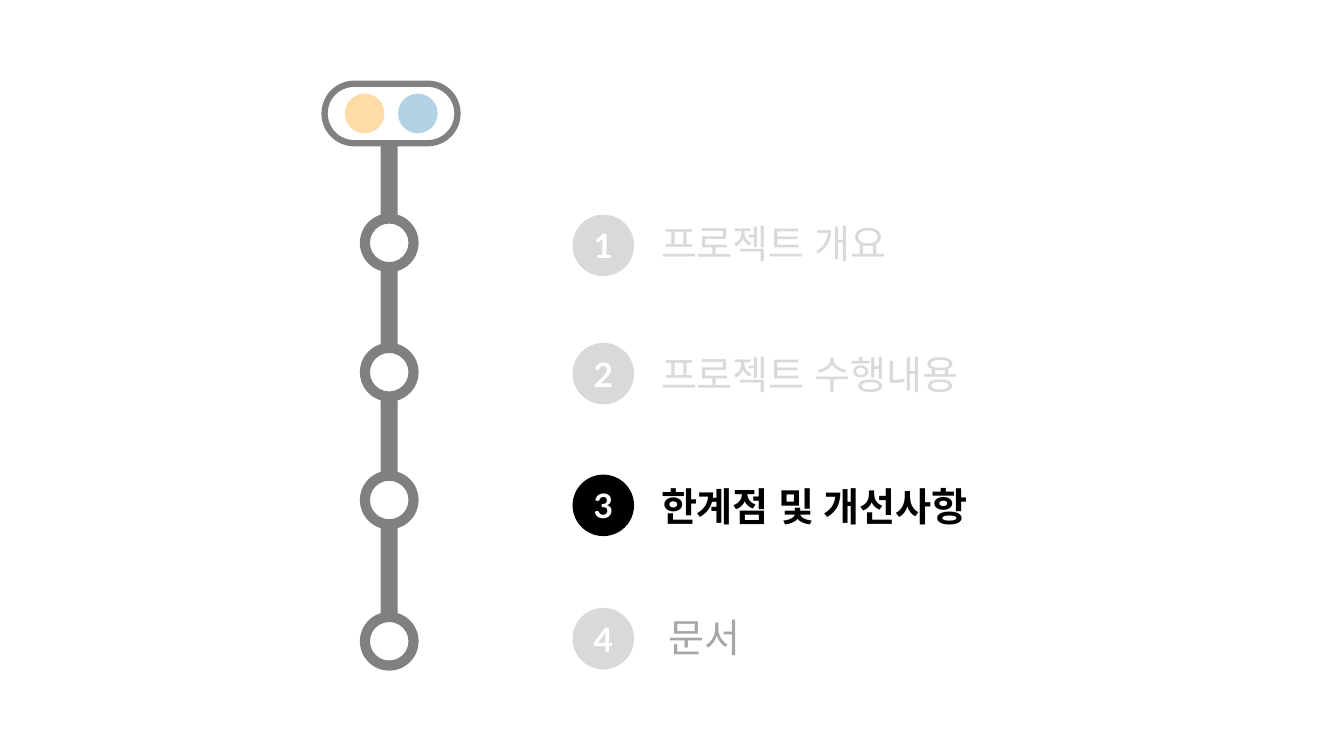
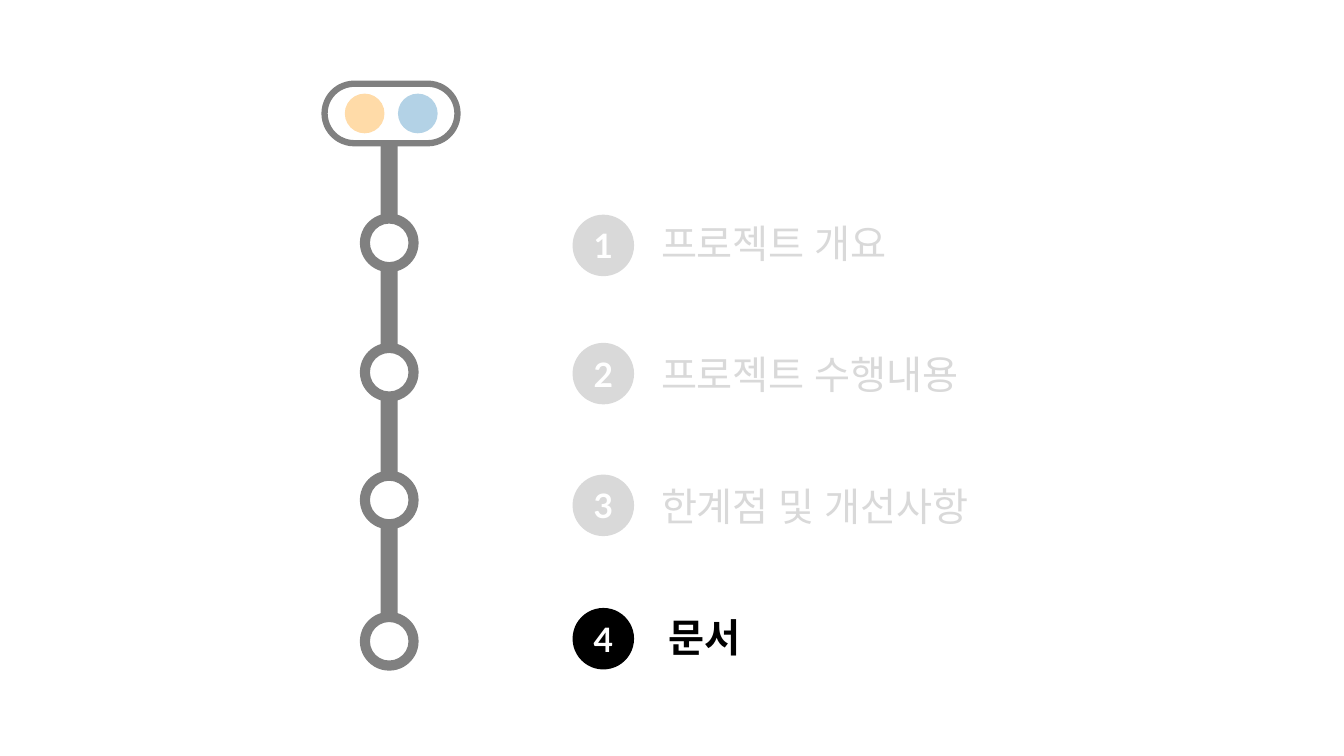
from dataclasses import dataclass

from lxml.etree import SubElement
from pptx import Presentation
from pptx.dml.color import RGBColor
from pptx.enum.shapes import MSO_SHAPE as Preset
from pptx.enum.text import MSO_ANCHOR as Anchor, MSO_AUTO_SIZE as AutoSize, PP_ALIGN as Align
from pptx.oxml.ns import qn
from pptx.util import Cm, Pt

CHAPTERS = [
    dict(title="프로젝트 개요", station=5.38, badge=5.41, label=(16.41, 5.41, 7.06)),
    dict(title="프로젝트 수행내용", station=8.64, badge=8.64, label=(16.41, 8.71, 9.17)),
    dict(title="한계점 및 개선사항", station=11.86, badge=11.96, label=(16.41, 12.04, 9.53)),
    dict(title="문서", station=15.42, badge=15.32, label=(16.59, 15.34, 7.06)),
]
CURRENT_CHAPTERS = [3, 4]


@dataclass(frozen=True)
class Theme:
    font: str = "Lato"
    paper: str = "FFFFFF"
    track: str = "808080"
    current: str = "000000"
    past: str = "D9D9D9"
    upcoming: str = "A6A6A6"
    lamps: tuple = ("FFDBA8", "B3D2E6")
    number_size: int = 24
    title_size: int = 28


THEME = Theme()
TRACK_CENTER, TRACK_TOP, TRACK_WIDTH, TRACK_HEIGHT = 9.81, 3.61, 0.43, 12.75
STATION, HOLE = 1.48, 1.32
SIGN = (8.18, 2.11, 3.35, 1.5)
LAMP, LAMP_LEFT, LAMP_STEP = 1.0, 8.69, 1.34
BADGE_LEFT, BADGE = 14.43, 1.55
LABEL_HEIGHT = 1.45


def add_form(shapes, preset, box, fill, line=None, line_width=0, adjust=None):
    form = shapes.add_shape(preset, *map(Cm, box))
    form.shadow.inherit = False
    form.fill.solid()
    form.fill.fore_color.rgb = RGBColor.from_string(fill)
    if line:
        form.line.color.rgb = RGBColor.from_string(line)
        form.line.width = Pt(line_width)
    else:
        form.line.fill.background()
    if adjust is not None:
        form.adjustments[0] = adjust
    return form


def write(frame, text, size, color, bold=False, align=Align.LEFT, anchor=Anchor.TOP):
    frame.word_wrap = True
    frame.vertical_anchor = anchor
    paragraph = frame.paragraphs[0]
    paragraph.alignment = align
    run = paragraph.add_run()
    run.text = text
    run.font.name = THEME.font
    run.font.size = Pt(size)
    run.font.bold = bold
    run.font.color.rgb = RGBColor.from_string(color)
    SubElement(run.font._element, qn("a:ea"), typeface=THEME.font)


def add_station(shapes, top):
    station = shapes.add_group_shape().shapes
    middle = top + STATION / 2
    for preset, size, fill, adjust in [
        (Preset.OVAL, HOLE, THEME.paper, None),
        (Preset.DONUT, STATION, THEME.track, 0.172),
    ]:
        box = (TRACK_CENTER - size / 2, middle - size / 2, size, size)
        add_form(station, preset, box, fill, adjust=adjust)


def add_route(shapes):
    track = (TRACK_CENTER - TRACK_WIDTH / 2, TRACK_TOP, TRACK_WIDTH, TRACK_HEIGHT)
    add_form(shapes, Preset.RECTANGLE, track, THEME.track)
    add_form(shapes, Preset.ROUNDED_RECTANGLE, SIGN, THEME.paper, THEME.track, 4.5, 0.5)
    lamp_top = SIGN[1] + (SIGN[3] - LAMP) / 2
    for index, color in enumerate(THEME.lamps):
        lamp = (LAMP_LEFT + index * LAMP_STEP, lamp_top, LAMP, LAMP)
        add_form(shapes, Preset.OVAL, lamp, color)
    for chapter in CHAPTERS:
        add_station(shapes, chapter["station"])


def add_chapter(shapes, number, chapter, current):
    active = number == current
    badge_color = THEME.current if active else THEME.past
    badge = add_form(shapes, Preset.OVAL, (BADGE_LEFT, chapter["badge"], BADGE, BADGE), badge_color)
    write(badge.text_frame, str(number), THEME.number_size, THEME.paper,
          bold=True, align=Align.CENTER, anchor=Anchor.MIDDLE)

    title_color = THEME.upcoming if number > current else badge_color
    label = shapes.add_textbox(*map(Cm, (*chapter["label"], LABEL_HEIGHT)))
    write(label.text_frame, chapter["title"], THEME.title_size, title_color, bold=active)
    label.text_frame.auto_size = AutoSize.SHAPE_TO_FIT_TEXT


def main():
    deck = Presentation()
    deck.slide_width, deck.slide_height = Cm(33.87), Cm(19.05)
    for current in CURRENT_CHAPTERS:
        shapes = deck.slides.add_slide(deck.slide_layouts[6]).shapes
        add_route(shapes)
        for number, chapter in enumerate(CHAPTERS, 1):
            add_chapter(shapes, number, chapter, current)
    deck.save("out.pptx")


if __name__ == "__main__":
    main()
